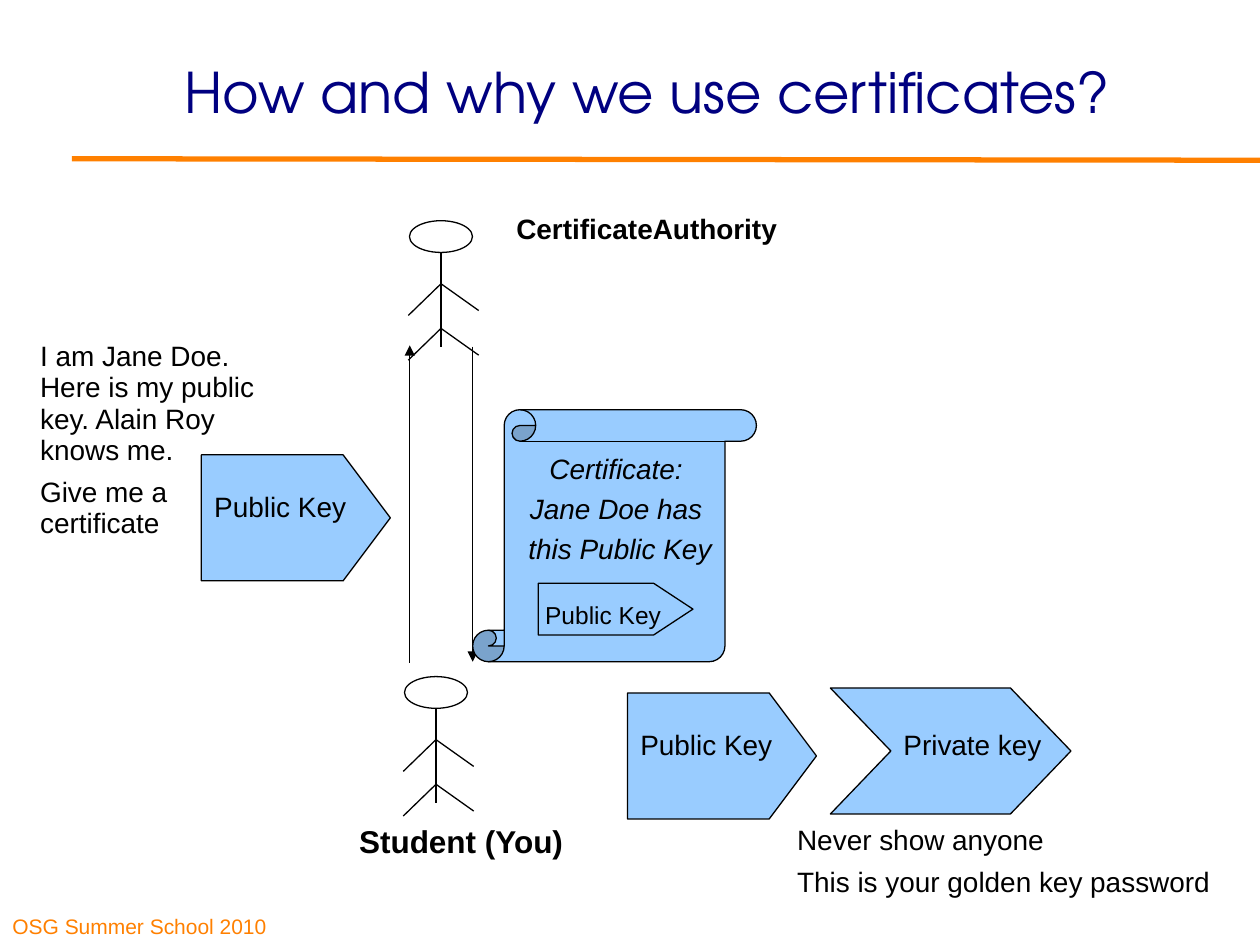
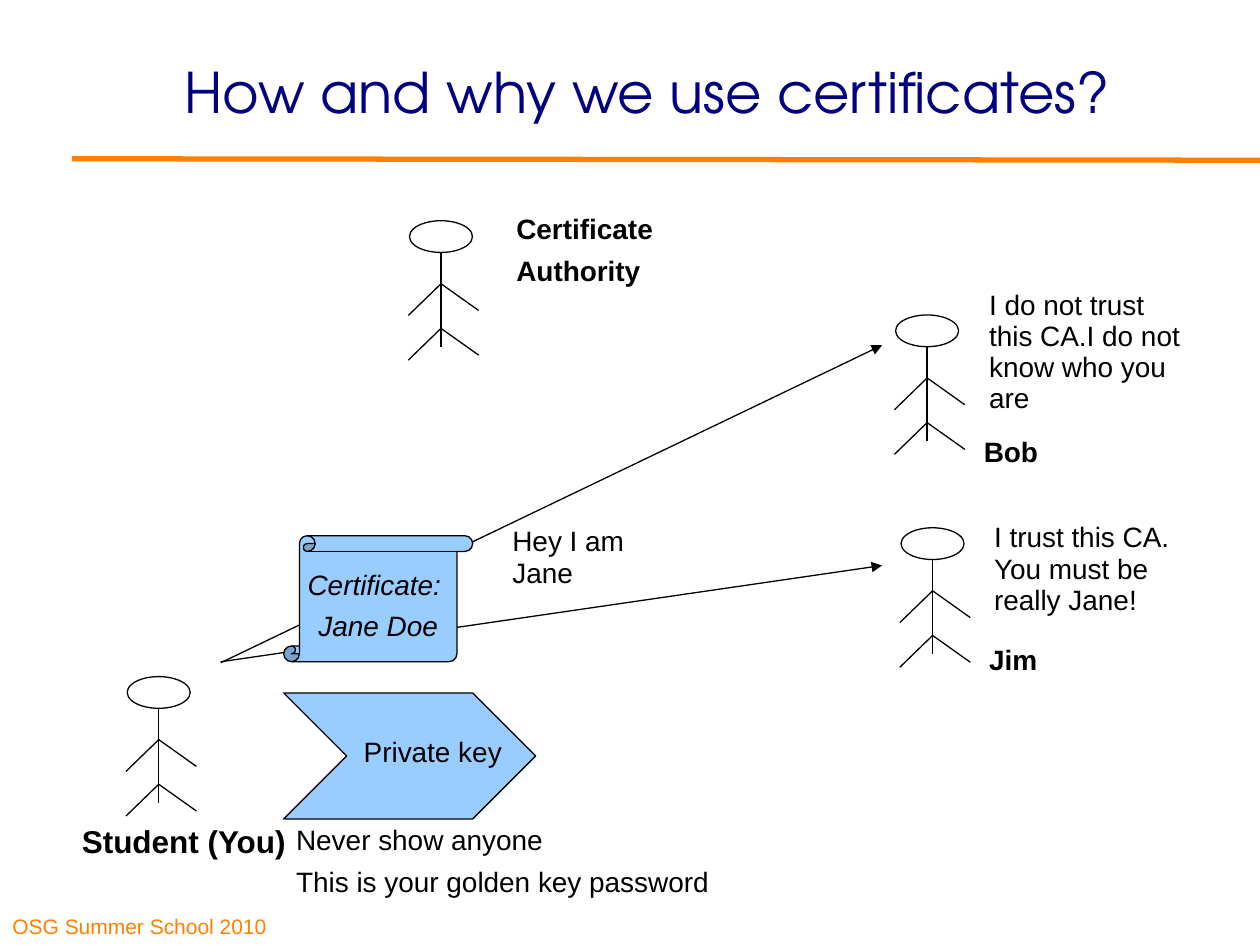
from dataclasses import dataclass

from lxml import etree
from pptx import Presentation
from pptx.dml.color import RGBColor
from pptx.enum import shapes as sh, text as tx
from pptx.oxml import ns
from pptx.util import Cm, Pt


@dataclass(frozen=True)
class Theme:
    title_font: str = "TeX Gyre Adventor"
    body_font: str = "Arial"
    navy: str = "000080"
    orange: str = "FF8000"
    black: str = "000000"
    sky: str = "99CCFF"
    title_size: int = 32
    name_size: int = 18
    body_size: int = 16
    small_size: int = 14
    footer_size: int = 12
    thin: float = 0.75
    thick: float = 3


THEME = Theme()

# All lengths are in centimetres; boxes are (left, top, width, height).
PAGE = (25.4, 19.05)
TITLE = "How and why we use certificates?"
TITLE_BOX = (3.4, 0.43, 19.3, 2.92)
FOOTER = "OSG Summer School 2010"
FOOTER_BOX = (0, 17.98, 6.3, 1.07)
RULE = ((1.45, 3.2), (25.4, 3.23))

HEAD = (1.27, 0.64)
# Limbs run from and to points measured from the top centre of the head.
LIMBS = [((0, 0.64), (0, 2.54))] + [
    ((0, joint), (dx, joint + dy))
    for joint in (1.27, 2.17)
    for dx, dy in ((-0.66, 0.64), (0.76, 0.54))
]

PENTAGON = sh.MSO_SHAPE.PENTAGON
CHEVRON = sh.MSO_SHAPE.CHEVRON
SCROLL = sh.MSO_SHAPE.VERTICAL_SCROLL

AUTHORITY = (8.89, 4.45)
STUDENT_TOP = 13.64
WARNING = ["Never show anyone", "This is your golden key password"]
BOLD = dict(bold=True)
CENTRED = dict(align="CENTER")
KEY_TEXT = dict(align="CENTER", wrap=False)
NAME_TEXT = dict(bold=True, align="CENTER", wrap=False)


def student_label(left):
    return (["Student (You)"], (left, 16.51, 5.08, 0.97),
            dict(bold=True, size=THEME.name_size))


def warning_label(left):
    return WARNING, (left, 16.51, 9.02, 1.73), dict(wrap=False)


def public_key(left, top):
    """Return the pentagon of a public key and the label on it."""
    return ((PENTAGON, (left, top, 3.81, 2.54), 0.375),
            (["Public Key"], (left, top + 0.63, 3.18, 0.89), KEY_TEXT))


SENT_KEY, SENT_KEY_LABEL = public_key(4.06, 9.17)
KEPT_KEY, KEPT_KEY_LABEL = public_key(12.65, 13.97)

SLIDES = [
    dict(
        people=[AUTHORITY, (8.79, STUDENT_TOP)],
        arrows=[((8.26, 13.36), (8.26, 6.96)), ((9.53, 6.99), (9.53, 13.34))],
        symbols=[
            (CHEVRON, (16.74, 13.87, 4.85, 2.54), 0.48),
            KEPT_KEY,
            SENT_KEY,
            (SCROLL, (9.53, 8.26, 5.72, 5.08), 0.125),
            (PENTAGON, (10.85, 11.76, 3.12, 1.04), 0.76),
        ],
        labels=[
            (["CertificateAuthority"], (10.16, 4.19, 6.35, 0.89), BOLD),
            student_label(6.99),
            (["I am Jane Doe. Here is my public key. Alain Roy knows me.",
              "Give me a certificate"], (0.56, 6.76, 5.51, 4.22), {}),
            warning_label(15.82),
            (["Private key"], (17.88, 14.6, 3.45, 0.89), CENTRED),
            KEPT_KEY_LABEL,
            SENT_KEY_LABEL,
            (["Certificate: ", "Jane Doe has ", "this Public Key"],
             (9.96, 9.07, 5.08, 2.46),
             dict(align="CENTER", italic=True, spacing=0.87)),
            (["Public Key"], (10.85, 12.01, 2.62, 0.89),
             dict(KEY_TEXT, size=THEME.small_size)),
        ],
    ),
    dict(
        people=[AUTHORITY, (3.2, STUDENT_TOP), (18.69, 6.35), (18.8, 10.64)],
        arrows=[((4.45, 13.36), (17.78, 6.96)), ((4.45, 13.34), (17.78, 11.4))],
        symbols=[
            (CHEVRON, (5.72, 13.97, 5.08, 2.54), 0.5),
            (SCROLL, (5.72, 10.8, 3.81, 2.54), 0.125),
        ],
        labels=[
            (["Certificate", "Authority"], (10.16, 4.19, 6.35, 1.73), BOLD),
            student_label(1.4),
            warning_label(5.72),
            (["Private key"], (6.91, 14.73, 3.63, 0.89), CENTRED),
            (["Bob"], (19.58, 8.69, 1.6, 0.89), NAME_TEXT),
            (["Jim"], (19.69, 12.88, 1.47, 0.89), NAME_TEXT),
            (["Certificate: ", "Jane Doe"], (5.72, 10.96, 3.81, 2.54),
             dict(KEY_TEXT, italic=True, anchor="MIDDLE")),
            (["Hey I am Jane"], (10.08, 10.49, 3.25, 1.5), {}),
            (["I do not trust this CA.I do not know who you are"],
             (19.69, 5.72, 4.45, 2.13), {}),
            (["I trust this CA. You must be really Jane!"],
             (19.79, 10.41, 4.45, 2.13), {}),
        ],
    ),
]


def cm(values):
    return [Cm(value) for value in values]


def write(frame, lines, size=THEME.body_size, font=THEME.body_font,
          color=THEME.black, bold=False, italic=False, align="LEFT",
          anchor="TOP", wrap=True, spacing=0.93, margins=(0.25, 0.13)):
    frame.auto_size = tx.MSO_AUTO_SIZE.NONE
    frame.word_wrap = wrap
    frame.vertical_anchor = tx.MSO_ANCHOR[anchor]
    frame.margin_left = frame.margin_right = Cm(margins[0])
    frame.margin_top = frame.margin_bottom = Cm(margins[1])
    for i, line in enumerate(lines):
        paragraph = frame.add_paragraph() if i else frame.paragraphs[0]
        paragraph.alignment = tx.PP_ALIGN[align]
        paragraph.line_spacing = spacing
        paragraph.space_before = Pt(6 if i else 0)
        run = paragraph.add_run()
        run.text = line
        run.font.name, run.font.size = font, Pt(size)
        run.font.bold, run.font.italic = bold, italic
        run.font.color.rgb = RGBColor.from_string(color)


def add_label(slide, lines, box, **style):
    write(slide.shapes.add_textbox(*cm(box)).text_frame, lines, **style)


def add_line(parent, start, end, color=THEME.black, width=THEME.thin, arrow=False):
    line = parent.shapes.add_connector(sh.MSO_CONNECTOR.STRAIGHT, *cm(start + end))
    line.line.color.rgb = RGBColor.from_string(color)
    line.line.width = Pt(width)
    if arrow:
        etree.SubElement(line.line._get_or_add_ln(), ns.qn("a:tailEnd"), type="triangle")
    etree.SubElement(line._element.spPr, ns.qn("a:effectLst"))


def add_symbol(parent, kind, box, adjustment=None, fill=THEME.sky):
    symbol = parent.shapes.add_shape(kind, *cm(box))
    symbol.shadow.inherit = False
    if fill:
        symbol.fill.solid()
        symbol.fill.fore_color.rgb = RGBColor.from_string(fill)
    else:
        symbol.fill.background()
    symbol.line.color.rgb = RGBColor.from_string(THEME.black)
    symbol.line.width = Pt(THEME.thin)
    if adjustment is not None:
        symbol.adjustments[0] = adjustment


def add_person(slide, center, top):
    person = slide.shapes.add_group_shape()
    add_symbol(person, sh.MSO_SHAPE.OVAL, (center - HEAD[0] / 2, top) + HEAD, fill=None)
    for limb in LIMBS:
        start, end = [(center + x, top + y) for x, y in limb]
        add_line(person, start, end)


def add_frame(slide):
    """Add the title, rule and footer that every slide shares."""
    title = slide.shapes.title
    title.left, title.top, title.width, title.height = cm(TITLE_BOX)
    write(title.text_frame, [TITLE], size=THEME.title_size, font=THEME.title_font,
          color=THEME.navy, align="CENTER", anchor="MIDDLE", spacing=0.98,
          margins=(0, 0))
    add_line(slide, *RULE, color=THEME.orange, width=THEME.thick)
    add_label(slide, [FOOTER], FOOTER_BOX, size=THEME.footer_size,
              color=THEME.orange, anchor="BOTTOM", spacing=1.0)


def main():
    deck = Presentation()
    deck.slide_width, deck.slide_height = cm(PAGE)
    title_only = deck.slide_layouts[5]
    for content in SLIDES:
        slide = deck.slides.add_slide(title_only)
        add_frame(slide)
        for person in content["people"]:
            add_person(slide, *person)
        for arrow in content["arrows"]:
            add_line(slide, *arrow, arrow=True)
        for symbol in content["symbols"]:
            add_symbol(slide, *symbol)
        for lines, box, style in content["labels"]:
            add_label(slide, lines, box, **style)
    deck.save("out.pptx")


if __name__ == "__main__":
    main()
